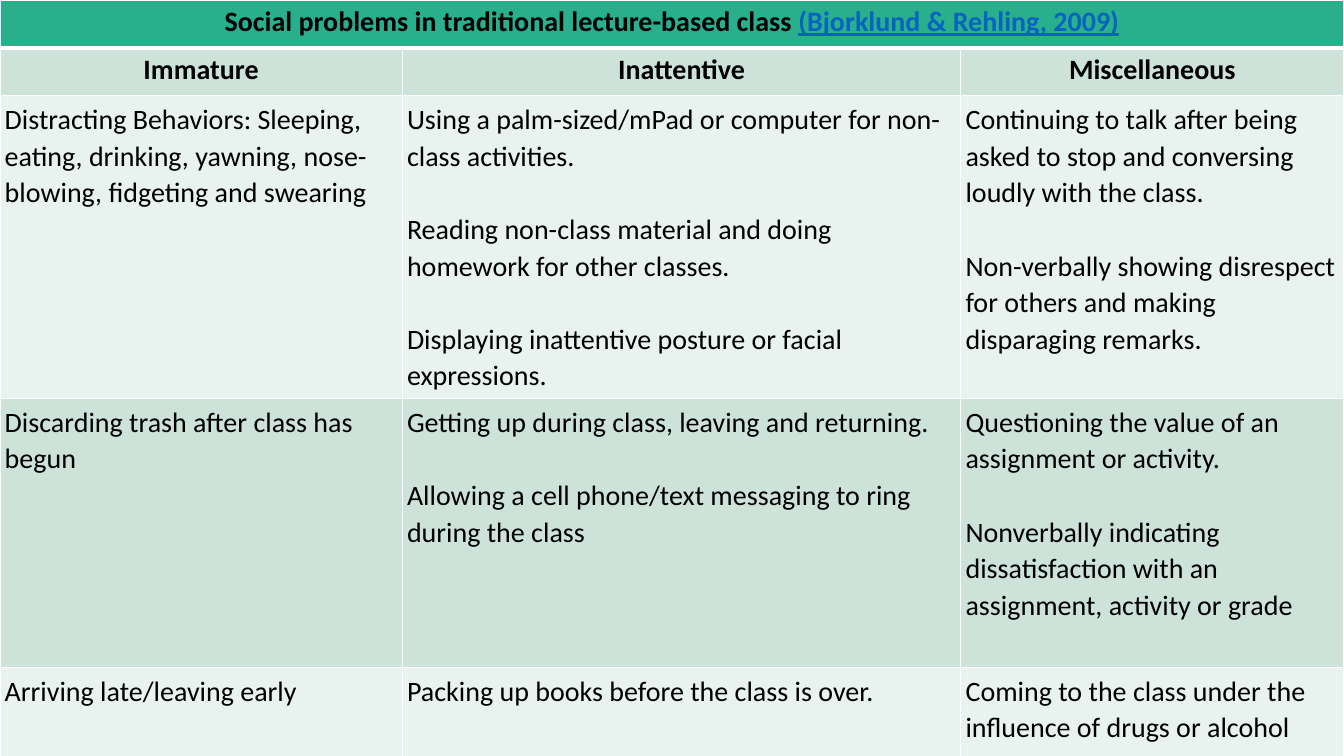
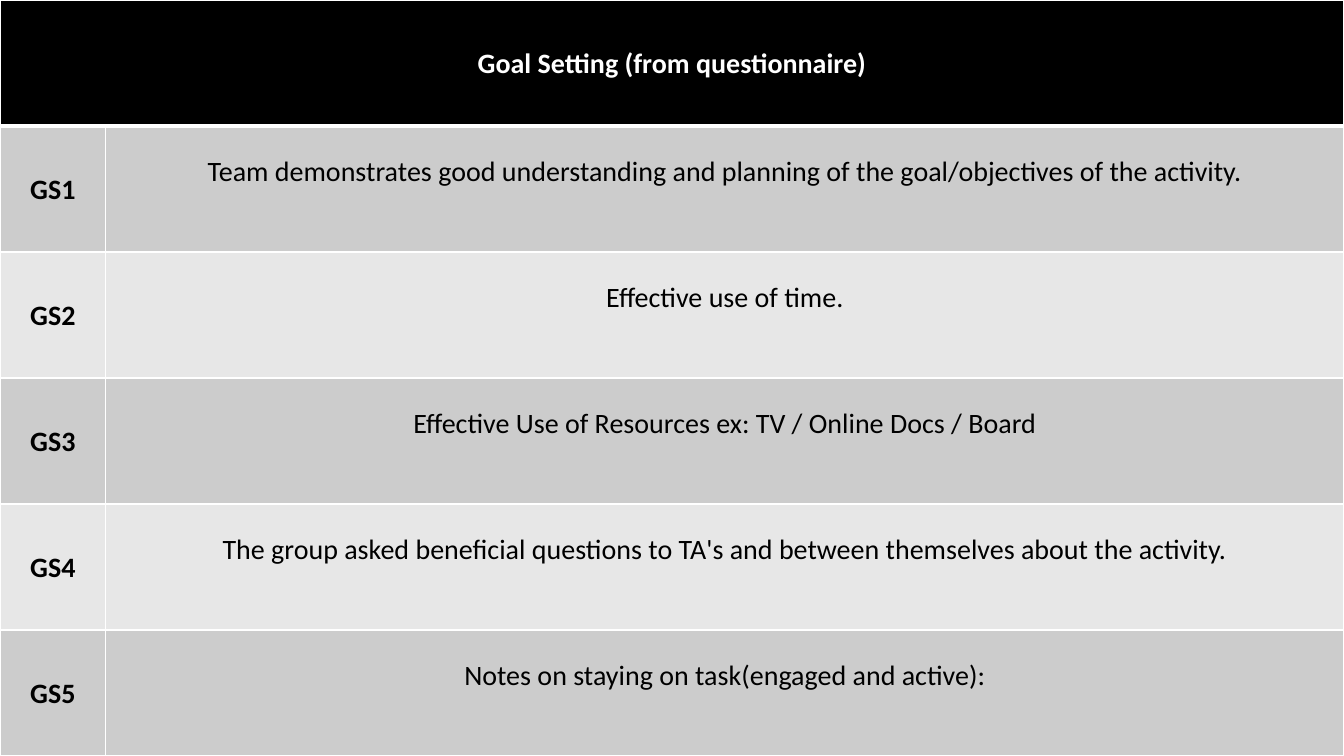
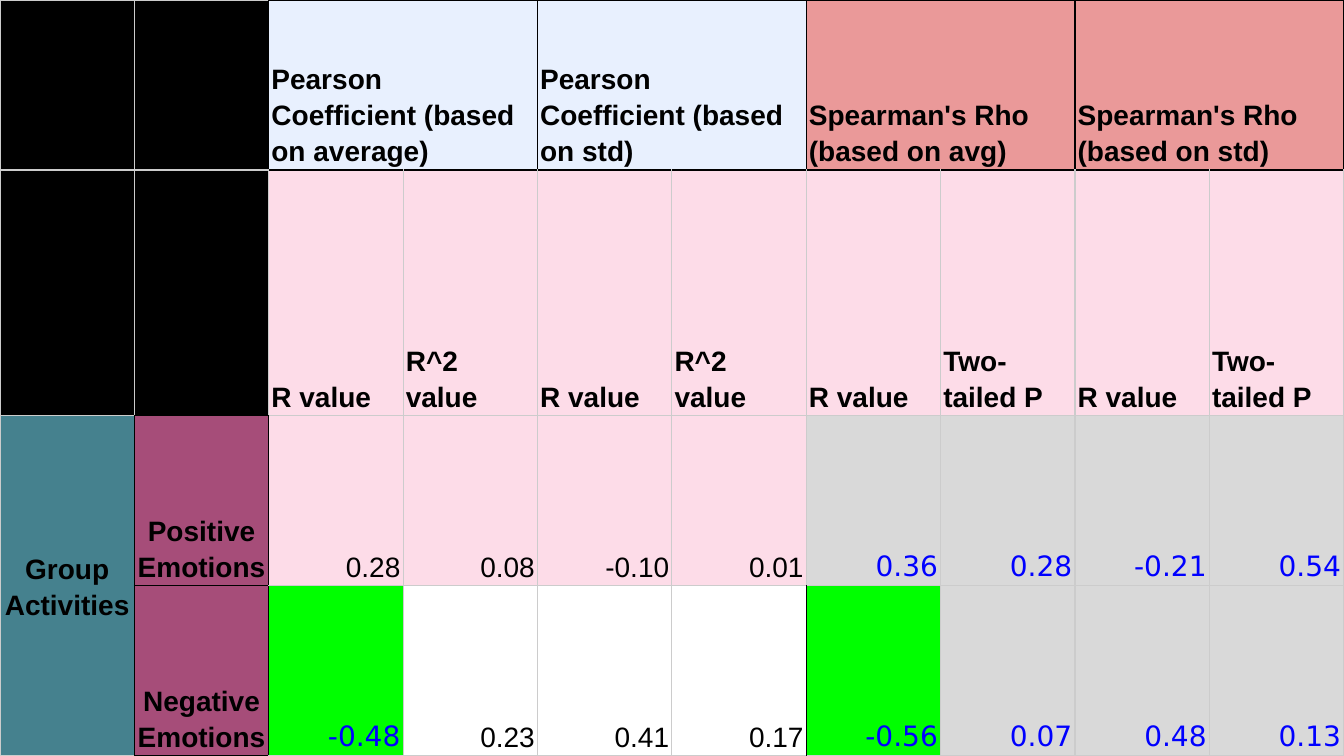
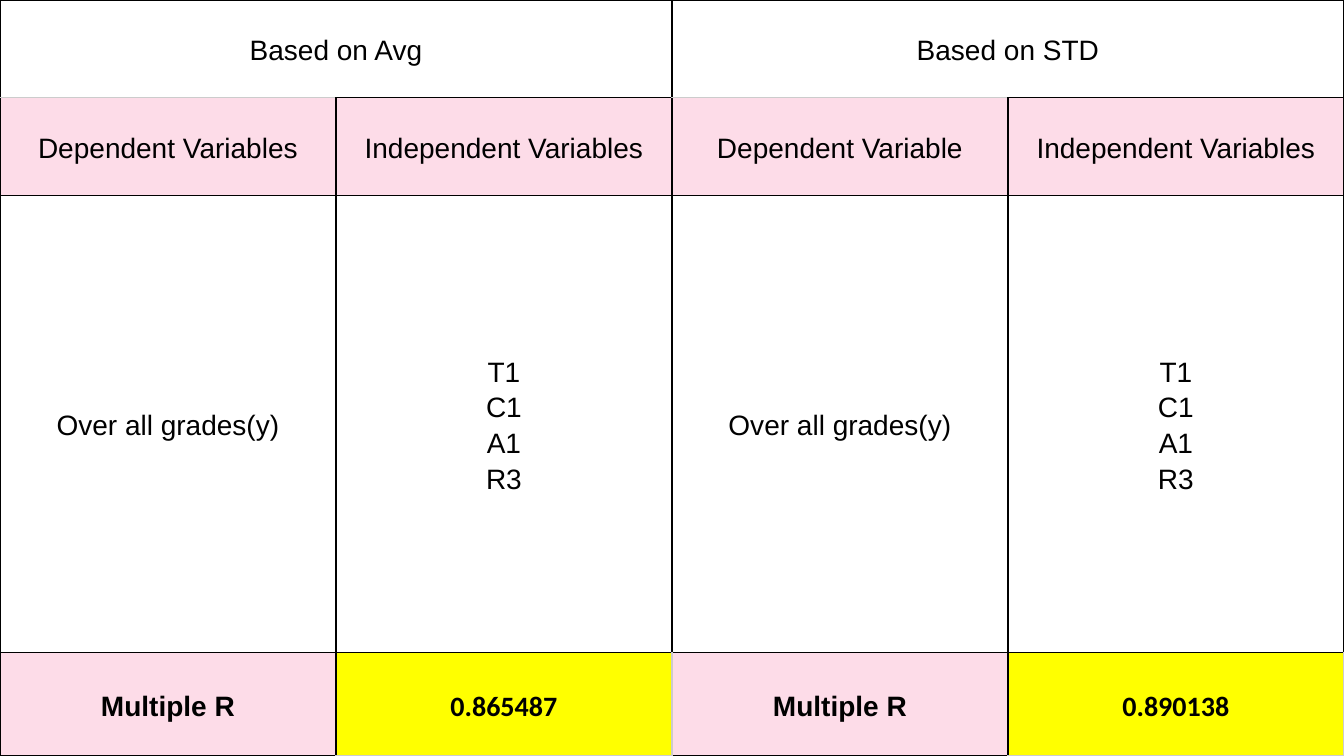
from dataclasses import dataclass, replace

from lxml import etree
from pptx import Presentation
from pptx.dml.color import RGBColor
from pptx.enum.text import MSO_ANCHOR, PP_ALIGN
from pptx.oxml.ns import qn
from pptx.util import Pt

LEFT, CENTER, RIGHT = PP_ALIGN.LEFT, PP_ALIGN.CENTER, PP_ALIGN.RIGHT
TOP, MIDDLE, BOTTOM = MSO_ANCHOR.TOP, MSO_ANCHOR.MIDDLE, MSO_ANCHOR.BOTTOM


@dataclass(frozen=True)
class Theme:
    """Colours, fonts and sizes shared by the slides."""

    black: str = "000000"
    white: str = "FFFFFF"
    green: str = "29AF8C"
    green_mid: str = "CDE3DA"
    green_pale: str = "E8F2EE"
    grey_dark: str = "CCCCCC"
    grey_mid: str = "D9D9D9"
    grey_pale: str = "E7E7E7"
    citation: str = "0563C1"
    blue_pale: str = "E8F0FE"
    salmon: str = "EA9999"
    pink: str = "FDDCE8"
    teal: str = "45818E"
    plum: str = "A64D79"
    lime: str = "00FF00"
    yellow: str = "FFFF00"
    blue: str = "0000FF"
    text_font: str = "Calibri"
    sheet_font: str = "Arial"
    number_font: str = "DejaVu Sans"
    size: float = 20
    text_leading: float = 1.07
    sheet_leading: float = 1.15
    blank_line: float = 26.1


THEME = Theme()


@dataclass(frozen=True)
class Box:
    """A region of the slide in points."""

    left: float
    top: float
    width: float
    height: float


@dataclass(frozen=True)
class Borders:
    """Main and accent cell edges as colour and width."""

    main: tuple
    accent: tuple


@dataclass(frozen=True)
class Cell:
    """Content and look of one table cell; accents lists its accent edges."""

    paragraphs: tuple = ()
    fill: str = THEME.white
    accents: str = ""
    columns: int = 1
    rows: int = 1
    align: PP_ALIGN = CENTER
    anchor: MSO_ANCHOR = MIDDLE
    inset: float = 1.9
    extra_bottom: float = 0
    font: str = THEME.sheet_font
    color: str = THEME.black
    bold: bool = False
    leading: float = THEME.sheet_leading
    gap: float = 0
    citation: str = ""

    def __call__(self, *paragraphs, **changes):
        """Return a cell of this style with the given paragraphs."""
        return replace(self, paragraphs=paragraphs, **changes)


def set_edges(table_cell, accents, borders):
    """Draw the four edges of a table cell."""
    properties = table_cell._tc.get_or_add_tcPr()
    for side in "LRTB":
        color, width = borders.accent if side in accents else borders.main
        line = etree.SubElement(properties, qn(f"a:ln{side}"), w=str(Pt(width)))
        fill = etree.SubElement(line, qn("a:solidFill"))
        etree.SubElement(fill, qn("a:srgbClr"), val=color)


def fill_text(table_cell, cell):
    """Write the paragraphs of a cell."""
    frame = table_cell.text_frame
    for index, text in enumerate(cell.paragraphs):
        paragraph = frame.add_paragraph() if index else frame.paragraphs[0]
        paragraph.alignment = cell.align
        paragraph.line_spacing = cell.leading
        if index and cell.gap:
            paragraph.space_before = Pt(cell.gap)
        paragraph.font.name = cell.font
        paragraph.font.size = Pt(THEME.size)
        paragraph.font.bold = cell.bold
        paragraph.font.color.rgb = RGBColor.from_string(cell.color)
        paragraph.add_run().text = text
        if cell.citation:
            run = paragraph.add_run()
            run.text = cell.citation
            run.font.underline = True
            run.font.color.rgb = RGBColor.from_string(THEME.citation)


def style_cell(table_cell, cell, borders):
    """Apply edges, fill and margins to a table cell."""
    set_edges(table_cell, cell.accents, borders)
    table_cell.fill.solid()
    table_cell.fill.fore_color.rgb = RGBColor.from_string(cell.fill)
    table_cell.vertical_anchor = cell.anchor
    table_cell.margin_left = table_cell.margin_right = Pt(cell.inset)
    table_cell.margin_top = Pt(cell.inset)
    table_cell.margin_bottom = Pt(cell.inset + cell.extra_bottom)


def place_table(slide, box, columns, rows, grid, borders):
    """Fill the box with a table; columns and rows are relative sizes."""
    frame = slide.shapes.add_table(
        len(rows), len(columns), Pt(box.left), Pt(box.top), Pt(box.width), Pt(box.height)
    )
    table = frame.table
    table.first_row = table.horz_banding = False
    for column, share in zip(table.columns, columns):
        column.width = Pt(box.width * share / sum(columns))
    for row, share in zip(table.rows, rows):
        row.height = Pt(box.height * share / sum(rows))
    for top, line in enumerate(grid):
        for left, cell in enumerate(line):
            if cell is None:
                continue
            bottom, right = top + cell.rows, left + cell.columns
            for y in range(top, bottom):
                for x in range(left, right):
                    style_cell(table.cell(y, x), cell, borders)
            fill_text(table.cell(top, left), cell)
            if cell.rows * cell.columns > 1:
                table.cell(top, left).merge(table.cell(bottom - 1, right - 1))


def social_problems(slide, box):
    """Table of social problems in lecture classes."""
    heading = Cell(font=THEME.text_font, bold=True, leading=THEME.text_leading, anchor=TOP, fill=THEME.green_mid)
    body = replace(heading, bold=False, align=LEFT, inset=3.4, gap=THEME.blank_line)
    pale = replace(body, fill=THEME.green_pale)
    grid = [
        [
            heading(
                "Social problems in traditional lecture-based class ",
                citation="(Bjorklund & Rehling, 2009)",
                fill=THEME.green, columns=3, accents="B",
            ),
            None,
            None,
        ],
        [heading(name) for name in ("Immature", "Inattentive", "Miscellaneous")],
        [
            pale("Distracting Behaviors: Sleeping, eating, drinking, yawning, nose-blowing, fidgeting and swearing"),
            pale(
                "Using a palm-sized/mPad or computer for non-class activities.",
                "Reading non-class material and doing homework for other classes.",
                "Displaying inattentive posture or facial expressions.",
            ),
            pale(
                "Continuing to talk after being asked to stop and conversing loudly with the class.",
                "Non-verbally showing disrespect for others and making disparaging remarks.",
            ),
        ],
        [
            body("Discarding trash after class has begun"),
            body(
                "Getting up during class, leaving and returning.",
                "Allowing a cell phone/text messaging to ring during the class",
            ),
            body(
                "Questioning the value of an assignment or activity.",
                "Nonverbally indicating dissatisfaction with an assignment, activity or grade",
            ),
        ],
        [
            pale("Arriving late/leaving early"),
            pale("Packing up books before the class is over."),
            pale("Coming to the class under the influence of drugs or alcohol"),
        ],
    ]
    borders = Borders((THEME.white, 1), (THEME.white, 3))
    table_box = replace(box, height=box.height + 5.8)
    place_table(slide, table_box, (3.99, 5.54, 3.8), (0.47, 0.47, 2.87, 2.64, 1.05), grid, borders)


def goal_setting(slide, box):
    """Table of goal setting items."""
    label = Cell(font=THEME.text_font, bold=True, leading=THEME.text_leading, inset=4.8)
    statement = replace(label, bold=False, extra_bottom=THEME.blank_line)
    statements = (
        "Team demonstrates good understanding and planning of the goal/objectives of the activity.",
        "Effective use of time.",
        "Effective Use of Resources ex: TV / Online Docs / Board",
        "The group asked beneficial questions to TA's and between themselves about the activity.",
        "Notes on staying on task(engaged and active):",
    )
    title = label(
        "Goal Setting (from questionnaire)", fill=THEME.black, color=THEME.white, columns=2, accents="B"
    )
    grid = [[title, None]]
    for number, text in enumerate(statements, 1):
        fill = THEME.grey_dark if number % 2 else THEME.grey_pale
        grid.append([label(f"GS{number}", fill=fill), statement(text, fill=fill)])
    borders = Borders((THEME.white, 1), (THEME.white, 3))
    place_table(slide, box, (1.05, 12.28), (1,) * len(grid), grid, borders)


def correlations(slide, box):
    """Table of correlation values for group activities."""
    empty = Cell(fill=THEME.black)
    heading = Cell(bold=True, align=LEFT, anchor=BOTTOM, columns=2, accents="LRTB")
    measure = replace(heading, columns=1, fill=THEME.pink, accents="T")
    emotion = replace(heading, columns=1, align=CENTER, fill=THEME.plum)
    number = Cell(align=RIGHT, anchor=BOTTOM)
    pink = replace(number, fill=THEME.pink)
    linked = replace(number, font=THEME.number_font, color=THEME.blue, fill=THEME.grey_mid)
    marked = replace(linked, fill=THEME.lime, accents="L")
    measures = ("R value", "R^2 value") * 2 + ("R value", "Two-tailed P") * 2
    grid = [
        [
            empty,
            replace(empty, accents="R"),
            heading("Pearson Coefficient (based on average)", fill=THEME.blue_pale),
            None,
            heading("Pearson Coefficient (based on std)", fill=THEME.blue_pale),
            None,
            heading("Spearman's Rho (based on avg)", fill=THEME.salmon),
            None,
            heading("Spearman's Rho (based on std)", fill=THEME.salmon),
            None,
        ],
        [empty, replace(empty, accents="B")] + [measure(name) for name in measures],
        [
            Cell(bold=True)("Group Activities", fill=THEME.teal, rows=2, accents="R"),
            emotion("Positive Emotions"),
            pink("0.28", accents="L"),
            *(pink(value) for value in ("0.08", "-0.10", "0.01")),
            *(linked(value) for value in ("0.36", "0.28", "-0.21", "0.54")),
        ],
        [
            None,
            emotion("Negative Emotions"),
            marked("-0.48"),
            number("0.23"),
            number("0.41"),
            number("0.17", accents="R"),
            marked("-0.56"),
            *(linked(value) for value in ("0.07", "0.48", "0.13")),
        ],
    ]
    borders = Borders((THEME.grey_dark, 1), (THEME.black, 1))
    place_table(slide, box, (1,) * 10, (1.69, 2.44, 1.69, 1.69), grid, borders)


def regression(slide, box):
    """Table of multiple regression results."""
    plain = Cell()
    pink = Cell(fill=THEME.pink)
    total = replace(pink, bold=True)
    result = Cell(font=THEME.text_font, bold=True, fill=THEME.yellow, accents="RB")
    variables = plain("T1", "C1", "A1", "R3")
    halves = (
        ("Based on Avg", "Dependent Variables", "0.865487", ""),
        ("Based on STD", "Dependent Variable", "0.890138", "L"),
    )
    grid = [[], [], [], []]
    for basis, dependent, value, total_accents in halves:
        grid[0] += [plain(basis, columns=2, accents="B"), None]
        grid[1] += [pink(dependent, accents="T"), pink("Independent Variables")]
        grid[2] += [plain("Over all grades(y)"), variables]
        grid[3] += [total("Multiple R", accents=total_accents), result(value)]
    borders = Borders((THEME.black, 1), (THEME.grey_dark, 1))
    place_table(slide, box, (1,) * 4, (0.97, 0.97, 4.53, 1.03), grid, borders)


def main():
    """Build and save the presentation."""
    presentation = Presentation()
    presentation.slide_width, presentation.slide_height = Pt(960), Pt(540)
    page = Box(0, 0, 960, 540)
    for build in (social_problems, goal_setting, correlations, regression):
        slide = presentation.slides.add_slide(presentation.slide_layouts[6])
        slide.background.fill.solid()
        slide.background.fill.fore_color.rgb = RGBColor.from_string(THEME.black)
        build(slide, page)
    presentation.save("out.pptx")


if __name__ == "__main__":
    main()
